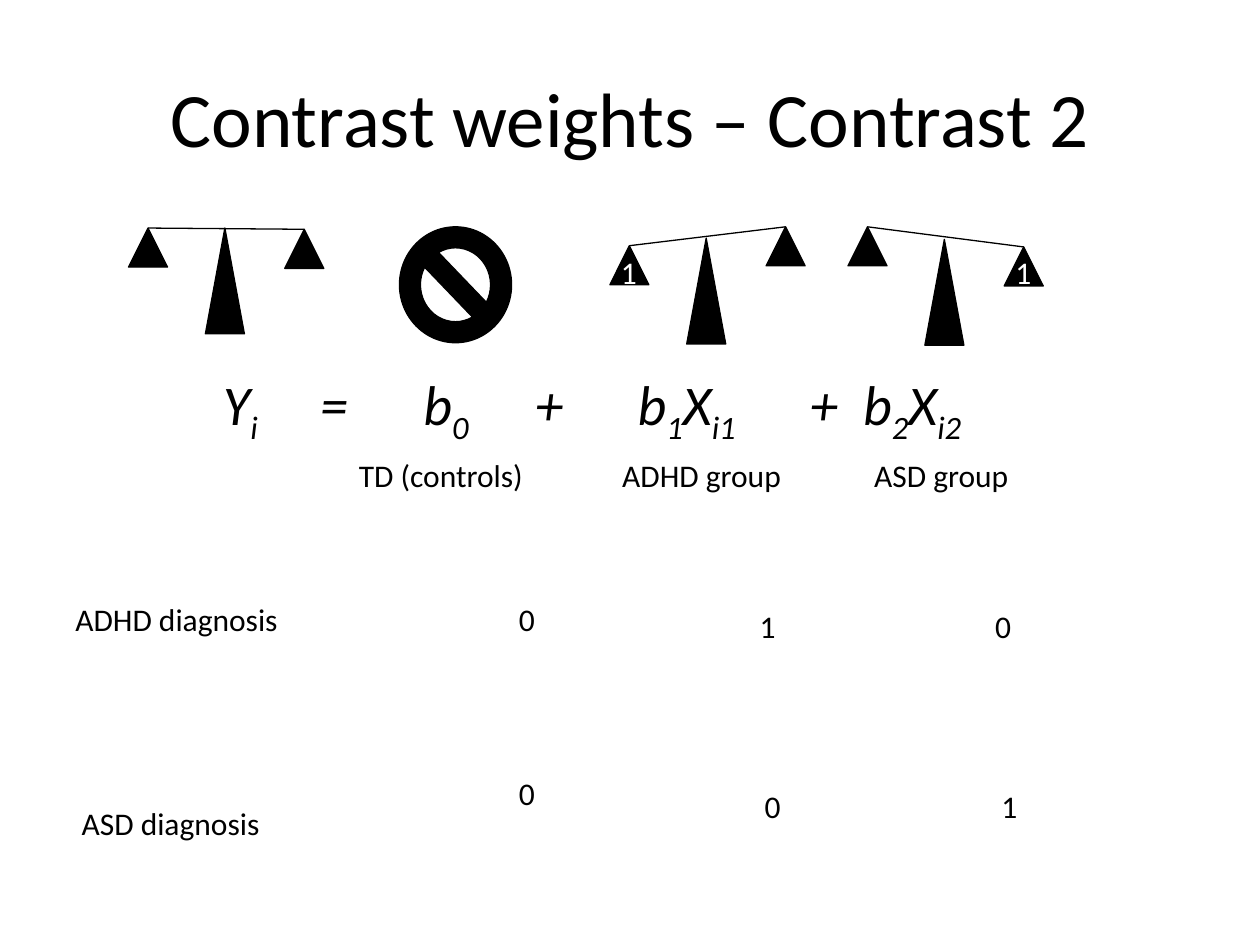
from lxml import etree
from pptx import Presentation
from pptx.dml.color import RGBColor
from pptx.enum.shapes import MSO_CONNECTOR, MSO_SHAPE
from pptx.enum.text import MSO_ANCHOR, MSO_AUTO_SIZE, PP_ALIGN
from pptx.oxml.ns import qn
from pptx.util import Inches, Pt

BLACK = RGBColor(0, 0, 0)
WHITE = RGBColor(255, 255, 255)
TRIANGLE = MSO_SHAPE.ISOSCELES_TRIANGLE
NO_SYMBOL = MSO_SHAPE.NO_SYMBOL
STRAIGHT = MSO_CONNECTOR.STRAIGHT
FIT_SHAPE = MSO_AUTO_SIZE.SHAPE_TO_FIT_TEXT
MIDDLE = MSO_ANCHOR.MIDDLE
CENTER = PP_ALIGN.CENTER


def add_text(shapes, text, left, top, width, height=0.4, size=18, color=BLACK):
    box = shapes.add_textbox(Inches(left), Inches(top), Inches(width), Inches(height))
    text_frame = box.text_frame
    text_frame.word_wrap = True
    text_frame.auto_size = FIT_SHAPE
    text_frame.text = text
    for run in text_frame.paragraphs[0].runs:
        run.font.name = "Calibri"
        run.font.size = Pt(size)
        run.font.color.rgb = color
    return text_frame


def add_solid(shapes, kind, left, top, width, height):
    shape = shapes.add_shape(kind, Inches(left), Inches(top), Inches(width), Inches(height))
    shape.shadow.inherit = False
    shape.fill.solid()
    shape.fill.fore_color.rgb = BLACK
    shape.line.color.rgb = BLACK
    shape.line.width = Pt(0.75)
    return shape


presentation = Presentation()
presentation.slide_width = Inches(10)
presentation.slide_height = Inches(7.5)
slide = presentation.slides.add_slide(presentation.slide_layouts[6])

labels = [
    ("TD (controls)", 2.75, 3.57, 1.63),
    ("ADHD group", 4.84, 3.57, 2.66),
    ("ASD group", 6.84, 3.57, 2.66),
    ("ASD diagnosis", 0.55, 6.33, 2.03),
    ("ADHD diagnosis", 0.5, 4.71, 2.03),
    ("0", 4.02, 4.71, 0.36),
    ("0", 4.02, 6.09, 0.36),
    ("0", 5.97, 6.2, 0.36),
    ("1", 7.85, 6.2, 0.36),
    ("1", 5.93, 4.77, 0.36),
    ("0", 7.8, 4.77, 0.36),
]
for text, left, top, width in labels:
    add_text(slide.shapes, text, left, top, width)

title = add_text(slide.shapes, "Contrast weights – Contrast 2", 0.5, 0.3, 9, 1.25, 44)
title.auto_size = MSO_AUTO_SIZE.NONE
title.vertical_anchor = MIDDLE
title.paragraphs[0].alignment = CENTER

formula = add_text(slide.shapes, "", 1.17, 2.88, 8.33, 0.64)
formula.margin_left = Inches(0.6)
paragraph = formula.paragraphs[0]
tab_list = etree.SubElement(paragraph._p.get_or_add_pPr(), qn("a:tabLst"))
for position in (0.77, 1.59, 2.48, 3.29, 4.66, 5.08):
    etree.SubElement(tab_list, qn("a:tab"), pos=str(Inches(position)), algn="l")
terms = [
    ("Y", "i"), ("\t=\tb", "0"), ("\t+\tb", "1"),
    ("X", "i1"), ("\t+\tb", "2"), ("X", "i2"),
]
for base, subscript in terms:
    for text, offset in ((base, 0), (subscript, -25000)):
        run = paragraph.add_run()
        run.text = text
        run.font.name = "Calibri"
        run.font.size = Pt(32)
        run.font.italic = True
        run.font.color.rgb = BLACK
        if offset:
            run.font._element.set("baseline", str(offset))

scales = [
    (1.02, 1.81, 1.82, 1.81, None),
    (4.84, 1.95, 1.8, 1.89, 4.83),
    (6.73, 1.8, 1.96, 1.9, 7.96),
]
for left, left_top, right_top, post_top, weight_left in scales:
    shapes = slide.shapes
    if weight_left is not None:
        shapes = slide.shapes.add_group_shape().shapes
    add_solid(shapes, TRIANGLE, left + 0.61, post_top, 0.31, 0.84)
    beam = shapes.add_connector(
        STRAIGHT, Inches(left + 0.16), Inches(left_top), Inches(left + 1.4), Inches(right_top)
    )
    beam.line.color.rgb = BLACK
    beam.line.width = Pt(0.75)
    etree.SubElement(beam._element.spPr, qn("a:effectLst"))
    left_pan = add_solid(shapes, TRIANGLE, left, left_top, 0.31, 0.31)
    right_pan = add_solid(shapes, TRIANGLE, left + 1.24, right_top, 0.31, 0.31)
    beam.begin_connect(left_pan, 0)
    beam.end_connect(right_pan, 0)
    if weight_left is not None:
        weight = add_text(shapes, "1", weight_left, 1.96, 0.33, color=WHITE)
        weight.word_wrap = False

add_solid(slide.shapes, NO_SYMBOL, 3.17, 1.8, 0.89, 0.92)

presentation.save("out.pptx")
